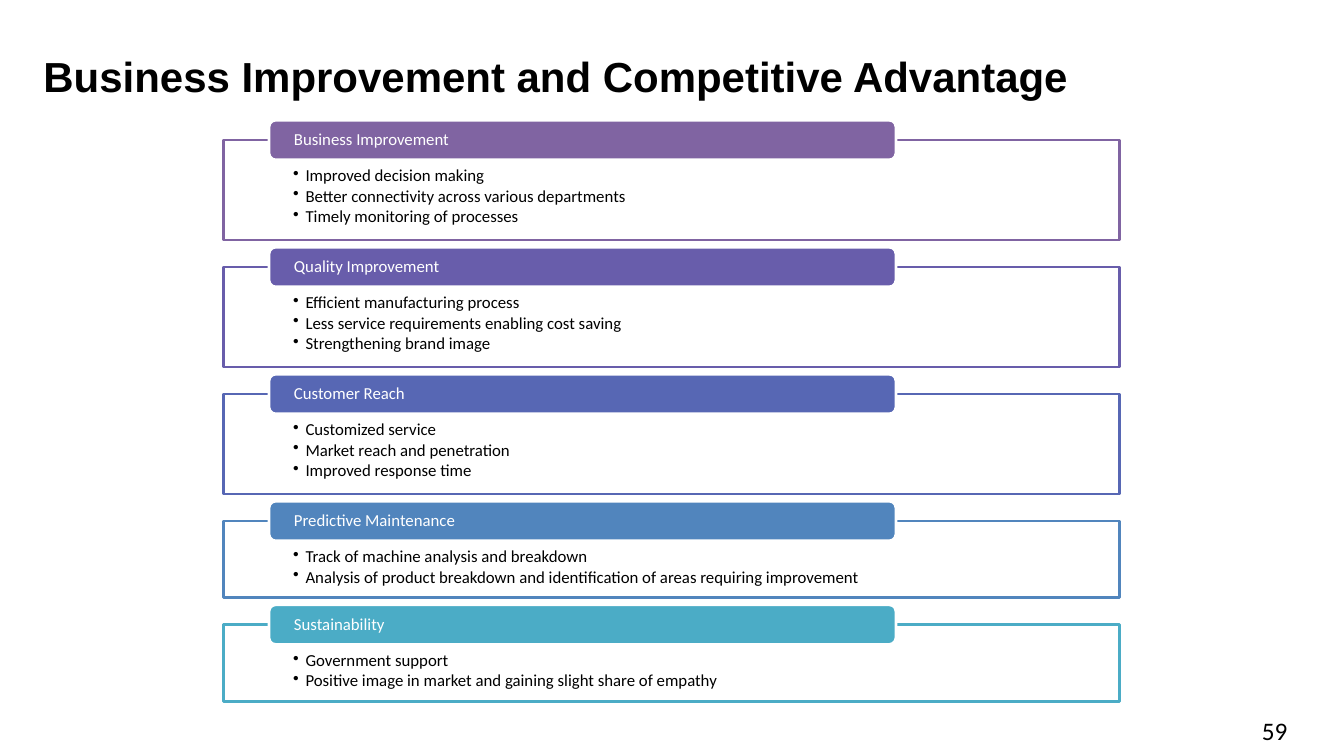
from dataclasses import dataclass

from lxml import etree
from pptx import Presentation
from pptx.dml.color import RGBColor
from pptx.enum import shapes, text
from pptx.oxml import ns
from pptx.util import Cm, Pt


@dataclass(frozen=True)
class Theme:
    heading_font: str = "Arial"
    body_font: str = "Calibri"
    title_size: int = 30
    number_size: int = 18
    body_size: int = 12
    black: str = "000000"
    white: str = "FFFFFF"
    accents: tuple = ("8064A2", "685DAB", "5767B4", "5185BD", "4BACC6")


theme = Theme()

topics = [
    ("Business Improvement", [
        "Improved decision making",
        "Better connectivity across various departments",
        "Timely monitoring of processes"]),
    ("Quality Improvement", [
        "Efficient manufacturing process",
        "Less service requirements enabling cost saving",
        "Strengthening brand image"]),
    ("Customer Reach", [
        "Customized service",
        "Market reach and penetration",
        "Improved response time"]),
    ("Predictive Maintenance", [
        "Track of machine analysis and breakdown",
        "Analysis of product breakdown and identification of areas requiring improvement"]),
    ("Sustainability", [
        "Government support",
        "Positive image in market and gaining slight share of empathy"]),
]


def style(para, font_name, size, color, bold=False):
    para.alignment = text.PP_ALIGN.LEFT
    para.font.name = font_name
    para.font.size = Pt(size)
    para.font.bold = bold
    para.font.color.rgb = RGBColor.from_string(color)


def add_panel(page, kind, place, fill, line, margins, anchor):
    """Add a filled, outlined shape and return its text frame."""
    panel = page.shapes.add_shape(kind, *(Cm(length) for length in place))
    panel.shadow.inherit = False
    panel.fill.solid()
    panel.fill.fore_color.rgb = RGBColor.from_string(fill)
    panel.line.color.rgb = RGBColor.from_string(line)
    panel.line.width = Pt(2)
    frame = panel.text_frame
    frame.word_wrap = True
    frame.vertical_anchor = anchor
    (frame.margin_left, frame.margin_top,
     frame.margin_right, frame.margin_bottom) = (Cm(length) for length in margins)
    return frame


# Deck and page, with the Title Only layout
deck = Presentation()
deck.slide_width, deck.slide_height = Cm(33.87), Cm(19.05)
page = deck.slides.add_slide(deck.slide_layouts[5])

# Title
title = page.shapes.title
title.left, title.top, title.width, title.height = Cm(0.84), Cm(1.17), Cm(27.05), Cm(1.5)
title.text_frame.text = "Business Improvement and Competitive Advantage"
title.text_frame.auto_size = text.MSO_AUTO_SIZE.NONE
title.text_frame.vertical_anchor = text.MSO_ANCHOR.MIDDLE
style(title.text_frame.paragraphs[0], theme.heading_font, theme.title_size, theme.black, True)

# Topics: a framed list with a coloured tab across its top edge
frame_top, frame_gap = 3.53, 0.68
bullet_height, frame_padding = 0.59, 0.75
tab_height = 1.0

for (heading, points), accent in zip(topics, theme.accents):
    frame_height = frame_padding + bullet_height * len(points)

    # Bulleted list
    listing = add_panel(page, shapes.MSO_SHAPE.RECTANGLE,
                        (5.64, frame_top, 22.58, frame_height), theme.white, accent,
                        (1.75, 0.69, 1.75, 0.23), text.MSO_ANCHOR.TOP)
    for index, point in enumerate(points):
        para = listing.paragraphs[0] if index == 0 else listing.add_paragraph()
        para.text = point
        para.line_spacing = 0.9
        para.space_after = Pt(1.6)
        props = para._p.get_or_add_pPr()
        props.set("marL", str(Cm(0.31)))
        props.set("indent", str(-Cm(0.31)))
        etree.SubElement(props, ns.qn("a:buChar")).set("char", "•")
        style(para, theme.body_font, theme.body_size, theme.black)

    # Heading tab
    tab = add_panel(page, shapes.MSO_SHAPE.ROUNDED_RECTANGLE,
                    (6.78, frame_top - tab_height / 2, 15.8, tab_height), accent, theme.white,
                    (0.58, 0, 0.58, 0), text.MSO_ANCHOR.MIDDLE)
    para = tab.paragraphs[0]
    para.text = heading
    para.line_spacing = 0.9
    style(para, theme.body_font, theme.body_size, theme.white)

    frame_top += frame_height + frame_gap

# Page number
number = page.shapes.add_textbox(Cm(31.55), Cm(17.91), Cm(1.75), Cm(1.02))
number.text_frame.word_wrap = True
number.text_frame.text = "59"
style(number.text_frame.paragraphs[0], theme.body_font, theme.number_size, theme.black)

deck.save("out.pptx")
